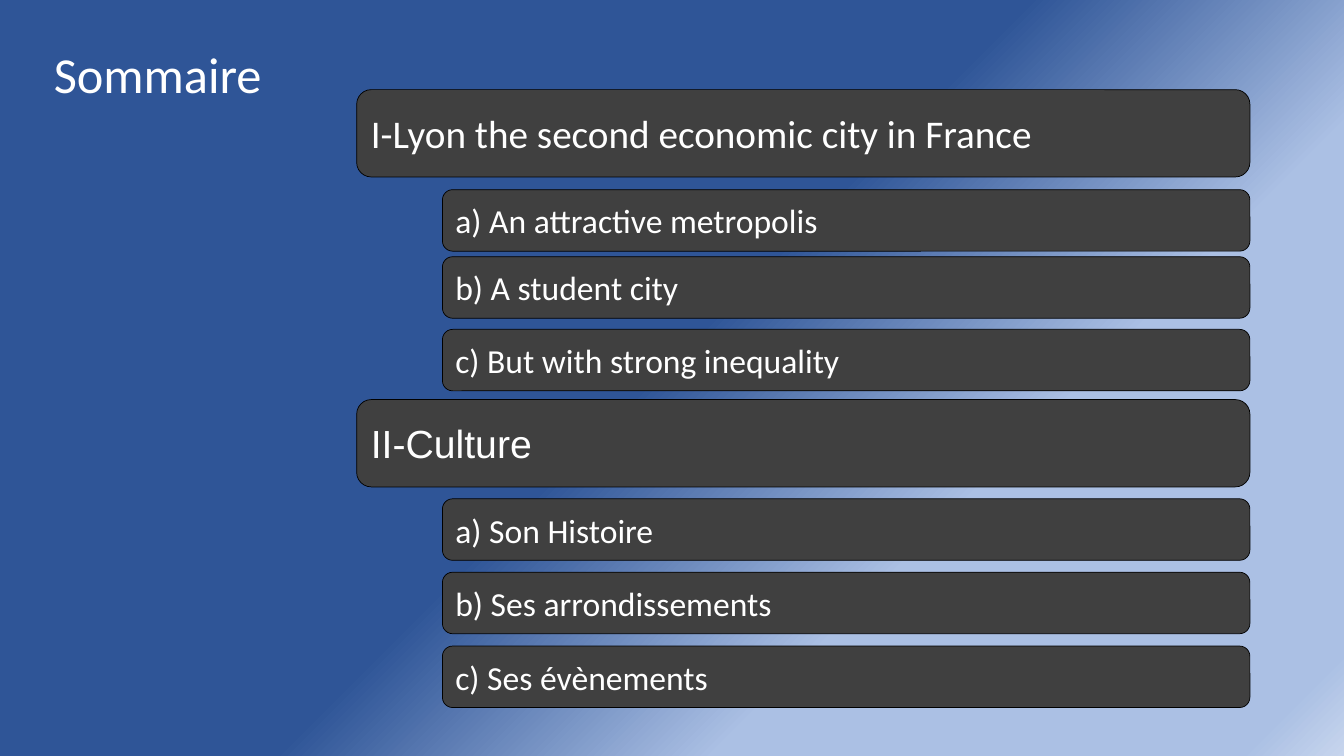
import pptx
import pptx.dml.color
import pptx.enum.shapes
import pptx.enum.text
import pptx.oxml
import pptx.oxml.ns
import pptx.util
from dataclasses import dataclass
from pptx.util import Cm


@dataclass(frozen=True)
class Theme:
    text: str = "FFFFFF"
    bar: str = "404040"
    outline: str = "000000"
    # Background gradient: position in percent, colour
    gradient: tuple = ((49, "2F5597"), (70, "ABC0E4"), (95, "ABC0E4"), (100, "C7D5ED"))
    font: str = "Calibri"
    title_size: int = 36
    heading_size: int = 28
    entry_size: int = 24


THEME = Theme()
BAR_RIGHT = 31.5
HEADING_LEFT, HEADING_HEIGHT = 8.99, 2.2
ENTRY_LEFT, ENTRY_HEIGHT = 11.15, 1.55

# Each section: heading, top in cm, heading font, entries with their tops
SECTIONS = (
    ("I-Lyon the second economic city in France", 2.26, THEME.font, (
        ("a) An attractive metropolis", 4.78),
        ("b) A student city", 6.47),
        ("c) But with strong inequality", 8.3),
    )),
    ("II-Culture", 10.07, "Arial", (
        ("a) Son Histoire", 12.57),
        ("b) Ses arrondissements", 14.42),
        ("c) Ses évènements", 16.28),
    )),
)


def rgb(value):
    return pptx.dml.color.RGBColor.from_string(value)


def set_text(shape, text, size, font, alignment):
    text_frame = shape.text_frame
    text_frame.text = text
    text_frame.word_wrap = True
    text_frame.vertical_anchor = pptx.enum.text.MSO_ANCHOR.MIDDLE
    paragraph = text_frame.paragraphs[0]
    paragraph.alignment = alignment
    run = paragraph.runs[0]
    run.font.size = pptx.util.Pt(size)
    run.font.name = font
    run.font.color.rgb = rgb(THEME.text)


def paint_background(slide):
    fill = slide.background.fill
    fill.gradient()
    fill.gradient_angle = 315
    # The gradient has more stops than the two given by default
    stop_list = slide.element.find(".//" + pptx.oxml.ns.qn("a:gsLst"))
    for stop in list(stop_list):
        stop_list.remove(stop)
    for position, color in THEME.gradient:
        stop_list.append(pptx.oxml.parse_xml(
            f'<a:gs {pptx.oxml.ns.nsdecls("a")} pos="{position * 1000}">'
            f'<a:srgbClr val="{color}"/></a:gs>'))


def add_title(slide, text):
    title = slide.shapes.title
    title.left, title.top = Cm(0.56), Cm(0.43)
    title.width, title.height = Cm(6.83), Cm(2.82)
    set_text(title, text, THEME.title_size, THEME.font, pptx.enum.text.PP_ALIGN.CENTER)


def add_bar(slide, text, left, top, height, size, font=THEME.font):
    bar = slide.shapes.add_shape(
        pptx.enum.shapes.MSO_SHAPE.ROUNDED_RECTANGLE,
        Cm(left), Cm(top), Cm(BAR_RIGHT - left), Cm(height))
    bar.shadow.inherit = False
    bar.fill.solid()
    bar.fill.fore_color.rgb = rgb(THEME.bar)
    bar.line.color.rgb = rgb(THEME.outline)
    bar.line.width = pptx.util.Pt(0.5)
    set_text(bar, text, size, font, pptx.enum.text.PP_ALIGN.LEFT)


def main():
    presentation = pptx.Presentation()
    presentation.slide_width, presentation.slide_height = Cm(33.87), Cm(19.05)
    slide = presentation.slides.add_slide(presentation.slide_layouts.get_by_name("Title Only"))
    paint_background(slide)
    add_title(slide, "Sommaire")

    # Section headings with their indented entries
    for heading, heading_top, font, entries in SECTIONS:
        add_bar(slide, heading, HEADING_LEFT, heading_top, HEADING_HEIGHT,
                THEME.heading_size, font)
        for entry, entry_top in entries:
            add_bar(slide, entry, ENTRY_LEFT, entry_top, ENTRY_HEIGHT, THEME.entry_size)

    presentation.save("out.pptx")


if __name__ == "__main__":
    main()
